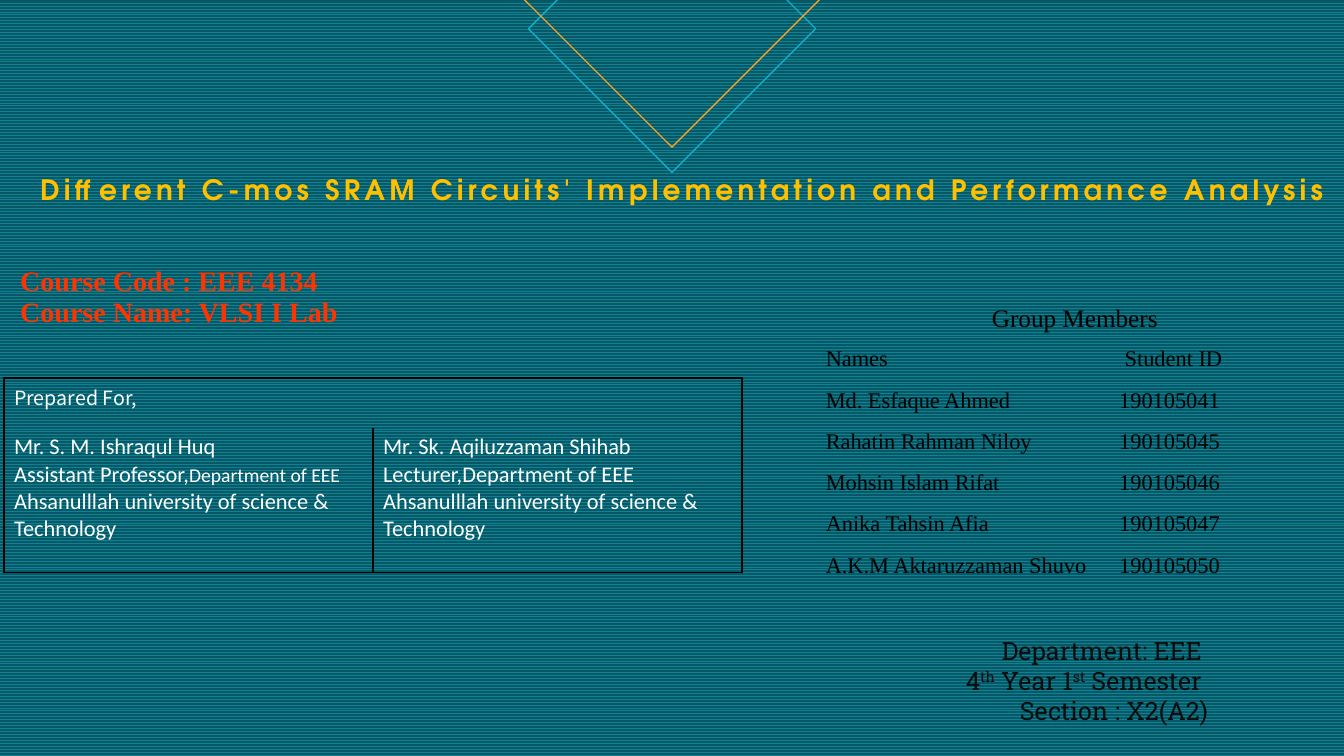
from dataclasses import dataclass

from lxml import etree
from pptx import Presentation
from pptx.dml.color import RGBColor
from pptx.enum.dml import MSO_PATTERN
from pptx.enum.shapes import MSO_SHAPE
from pptx.enum.text import MSO_AUTO_SIZE, PP_ALIGN
from pptx.oxml.ns import qn
from pptx.util import Inches, Pt

LEFT, CENTER, RIGHT = PP_ALIGN.LEFT, PP_ALIGN.CENTER, PP_ALIGN.RIGHT
DIAMOND = MSO_SHAPE.DIAMOND
ZIG_ZAG = MSO_PATTERN.ZIG_ZAG
GROW = MSO_AUTO_SIZE.SHAPE_TO_FIT_TEXT
NO_STYLE_NO_GRID = "{2D5ABB26-0587-4C30-8999-92F81FD0307C}"
SIDES = {"l": "a:lnL", "r": "a:lnR", "t": "a:lnT", "b": "a:lnB"}


@dataclass(frozen=True)
class Style:
    font: str
    size: float
    color: str
    bold: bool = False
    align: PP_ALIGN = LEFT


@dataclass(frozen=True)
class Span:
    text: str
    size: float | None = None
    attributes: tuple[tuple[str, str], ...] = ()


@dataclass(frozen=True)
class Cell:
    row: int
    column: int
    lines: list[list[Span]]
    style: Style
    borders: str = ""


@dataclass(frozen=True)
class Grid:
    left: float
    top: float
    columns: list[float]
    rows: list[float]
    cells: list[Cell]
    merged_header: bool = False


@dataclass(frozen=True)
class Diamond:
    left: float
    top: float
    side: float
    color: str


TITLE = Style("TeX Gyre Adventor", 20, "FFC000", True, CENTER)
COURSE = Style("Times New Roman", 20, "FF3300", True)
GROUP = Style("Times New Roman", 18, "000000", align=CENTER)
MEMBER = Style("Times New Roman", 16, "000000")
PREPARED = Style("Noto Sans CJK JP", 14, "FFFFFF")
TEACHER = Style("Calibri", 16, "FFFFFF")
DEPARTMENT = Style("Roboto Slab", 18, "0D0D0D", align=RIGHT)

RAISED = (("baseline", "30000"),)
SPACED = (("spc", "300"),)
UNIVERSITY = [Span("Ahsanulllah university of science & Technology")]

MEMBERS = [
    ("Names", " Student ID"),
    ("Md. Esfaque Ahmed", "190105041"),
    ("Rahatin Rahman Niloy", "190105045"),
    ("Mohsin Islam Rifat", "190105046"),
    ("Anika Tahsin Afia", "190105047"),
    ("A.K.M Aktaruzzaman Shuvo", "190105050"),
]

DIAMONDS = [
    Diamond(5.24, -1.14, 2.85, "11AEC7"),
    Diamond(4.73, -2.41, 3.87, "F59F26"),
]

GRIDS = [
    Grid(8.09, 2.98, [2.91, 2.23], [0.41] * 7,
         [Cell(0, 0, [[Span("Group Members")]], GROUP)]
         + [Cell(row, column, [[Span(text)]], MEMBER)
            for row, member in enumerate(MEMBERS, 1)
            for column, text in enumerate(member)],
         merged_header=True),
    Grid(0.1, 2.59, [5.14], [0.77],
         [Cell(0, 0, [[Span("Course Code : EEE 4134")],
                      [Span("Course Name: VLSI I Lab")]], COURSE)]),
    Grid(0.04, 3.75, [3.66, 3.66], [0.5, 1.43],
         [Cell(0, 0, [[Span("Prepared For,")]], PREPARED, "lrt"),
          Cell(1, 0, [[Span("Mr. S. M. Ishraqul Huq")],
                      [Span("Assistant Professor,"), Span("Department of EEE", 14)],
                      UNIVERSITY], TEACHER, "lrb"),
          Cell(1, 1, [[Span("Mr. Sk. Aqiluzzaman Shihab")],
                      [Span("Lecturer,Department of EEE")],
                      UNIVERSITY], TEACHER, "lrb")],
         merged_header=True),
]


def color(value: str) -> RGBColor:
    return RGBColor.from_string(value)


def write(frame, lines: list[list[Span]], style: Style) -> None:
    for index, line in enumerate(lines):
        para = frame.add_paragraph() if index else frame.paragraphs[0]
        para.alignment = style.align
        for span in line:
            run = para.add_run()
            run.text = span.text
            values = {"name": style.font, "size": Pt(span.size or style.size),
                      "bold": style.bold}
            for name, value in values.items():
                setattr(run.font, name, value)
            run.font.color.rgb = color(style.color)
            for name, value in span.attributes:
                run._r.get_or_add_rPr().set(name, value)


def add_text(page, left: float, top: float, width: float, height: float,
             lines: list[list[Span]], style: Style):
    box = page.shapes.add_textbox(Inches(left), Inches(top), Inches(width), Inches(height))
    frame = box.text_frame
    frame.word_wrap = True
    frame.auto_size = GROW
    write(frame, lines, style)
    return frame


def add_diamond(page, diamond: Diamond) -> None:
    side = Inches(diamond.side)
    shape = page.shapes.add_shape(DIAMOND, Inches(diamond.left), Inches(diamond.top), side, side)
    shape.shadow.inherit = False
    shape.fill.background()
    shape.line.color.rgb = color(diamond.color)
    shape.line.width = Pt(1)


def add_borders(cell, sides: str) -> None:
    properties = cell._tc.get_or_add_tcPr()
    for side, tag in SIDES.items():
        if side in sides:
            line = etree.SubElement(properties, qn(tag), w=str(Pt(1)))
            fill = etree.SubElement(line, qn("a:solidFill"))
            etree.SubElement(fill, qn("a:srgbClr"), val="000000")


def add_grid(page, grid: Grid) -> None:
    holder = page.shapes.add_table(
        len(grid.rows), len(grid.columns), Inches(grid.left), Inches(grid.top),
        Inches(sum(grid.columns)), Inches(sum(grid.rows)))
    for style_id in holder.element.iter(qn("a:tableStyleId")):
        style_id.text = NO_STYLE_NO_GRID
    table = holder.table
    for name, value in {"first_row": False, "horz_banding": False}.items():
        setattr(table, name, value)
    for column, width in zip(table.columns, grid.columns):
        column.width = Inches(width)
    for row, height in zip(table.rows, grid.rows):
        row.height = Inches(height)
    if grid.merged_header:
        table.cell(0, 0).merge(table.cell(0, len(grid.columns) - 1))
    for entry in grid.cells:
        cell = table.cell(entry.row, entry.column)
        write(cell.text_frame, entry.lines, entry.style)
        add_borders(cell, entry.borders)
    for cell in table.iter_cells():
        cell.fill.background()


def main() -> None:
    deck = Presentation()
    deck.slide_width, deck.slide_height = Inches(13.33), Inches(7.5)
    page = deck.slides.add_slide(deck.slide_layouts[6])
    backdrop = page.background.fill
    backdrop.patterned()
    backdrop.pattern = ZIG_ZAG
    backdrop.fore_color.rgb = color("0D8295")
    backdrop.back_color.rgb = color("085764")

    title = add_text(page, -0.21, 1.75, 13.95, 0.3, [[Span(
        "Different C-mos SRAM Circuits' Implementation and Performance Analysis",
        attributes=SPACED)]], TITLE)
    for side in ("left", "top", "right", "bottom"):
        setattr(title, f"margin_{side}", 0)
    title.paragraphs[0].line_spacing = 0.9

    for diamond in DIAMONDS:
        add_diamond(page, diamond)
    for grid in GRIDS:
        add_grid(page, grid)
    add_text(page, 8.33, 6.25, 3.75, 1.01, [
        [Span("Department: EEE ")],
        [Span("4"), Span("th", attributes=RAISED), Span(" Year 1"),
         Span("st", attributes=RAISED), Span(" Semester ")],
        [Span("Section : X2(A2)")]], DEPARTMENT)
    deck.save("out.pptx")


if __name__ == "__main__":
    main()
